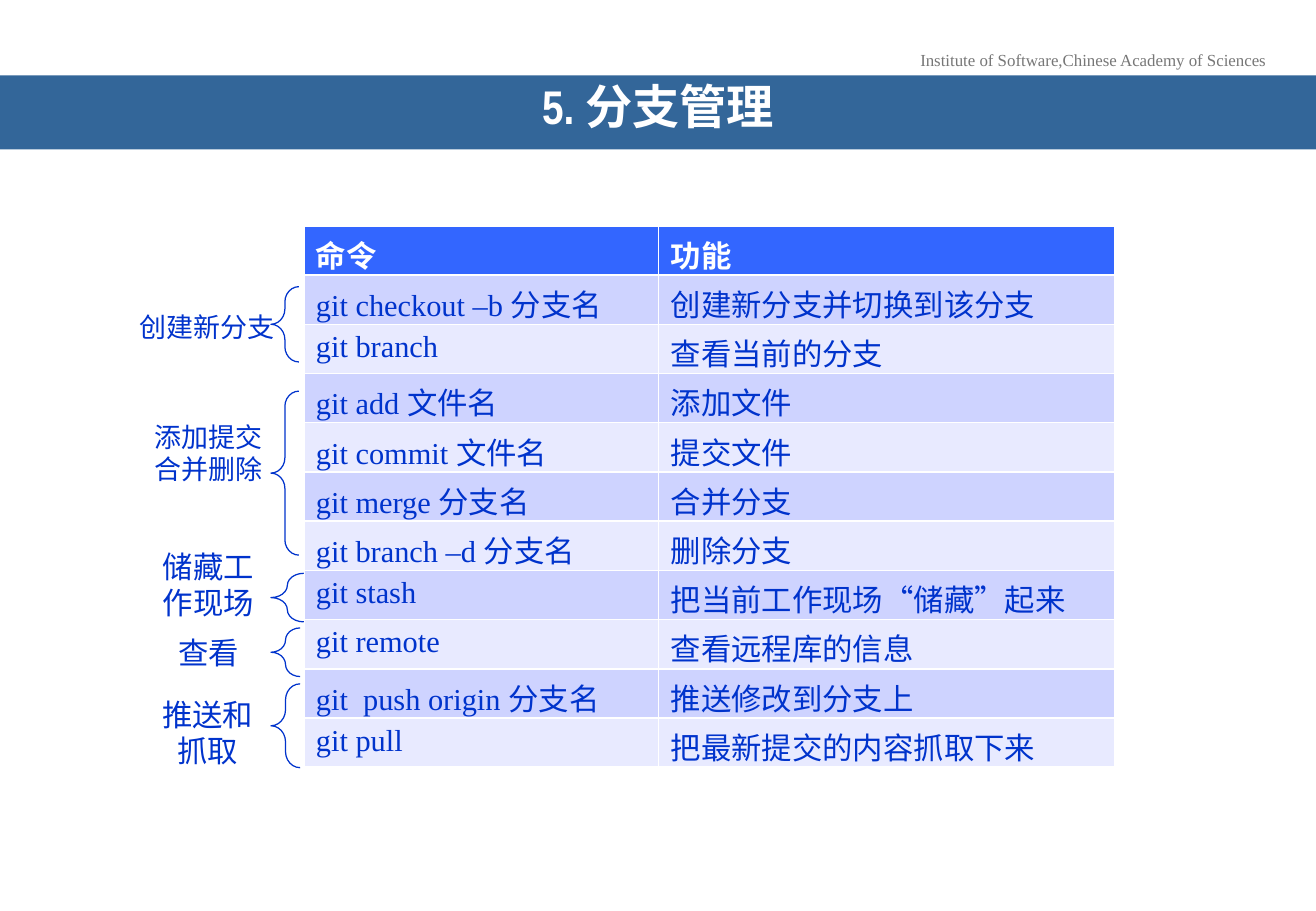
import pptx
import pptx.util
import pptx.dml.color
import pptx.enum.shapes
import pptx.enum.text
from dataclasses import dataclass

Inches = pptx.util.Inches
Pt = pptx.util.Pt
RGB = pptx.dml.color.RGBColor.from_string
ALIGN = pptx.enum.text.PP_ALIGN
ANCHOR = pptx.enum.text.MSO_ANCHOR


@dataclass(frozen=True)
class Theme:
    """Hold the colours, fonts and type sizes."""
    white: str = "FFFFFF"
    band: str = "336699"
    head: str = "3366FF"
    ink: str = "0033CC"
    grey: str = "777777"
    rows: tuple = ("E8EAFF", "CED3FF")
    serif: str = "Times New Roman"
    sans: str = "Arial"
    narrow: str = "Arial Narrow"
    title: int = 28
    text: int = 18
    label: int = 16
    note: int = 10


THEME = Theme()

TABLE = [
    ("命令", "功能"),
    ("git checkout –b 分支名", "创建新分支并切换到该分支"),
    ("git branch", "查看当前的分支"),
    ("git add 文件名", "添加文件"),
    ("git commit 文件名", "提交文件"),
    ("git merge 分支名", "合并分支"),
    ("git branch –d 分支名", "删除分支"),
    ("git stash", "把当前工作现场“储藏”起来"),
    ("git remote", "查看远程库的信息"),
    ("git  push origin 分支名", "推送修改到分支上"),
    ("git pull", "把最新提交的内容抓取下来"),
]

GROUPS = [
    ("创建新分支", THEME.label, (0.92, 2.51, 1.57, 0.37), (2.36, 0.23, 0.62)),
    ("添加提交\n合并删除", THEME.label, (1, 3.41, 1.43, 0.64), (3.22, 0.23, 1.35)),
    ("储藏工作现场", THEME.text, (1.24, 4.46, 0.95, 0.71), (4.72, 0.27, 0.4)),
    ("查看", THEME.text, (1.24, 5.17, 0.95, 0.4), (5.17, 0.24, 0.4)),
    ("推送和\n抓取", THEME.text, (1.08, 5.68, 1.26, 0.71), (5.63, 0.24, 0.69)),
]


def write(frame, text, size, face, color, bold=False, align=ALIGN.CENTER):
    """Fill a text frame with evenly styled paragraphs."""
    frame.text = text
    for para in frame.paragraphs:
        para.alignment = align
        font = para.font
        font.size, font.name, font.bold = Pt(size), face, bold
        font.color.rgb = RGB(color)


def add_text(slide, box, text, size, face, color, wrap=True):
    """Add a text box."""
    frame = slide.shapes.add_textbox(*map(Inches, box)).text_frame
    frame.word_wrap = wrap
    write(frame, text, size, face, color)


def add_title(slide, box, text):
    """Turn the title placeholder into the band."""
    title = slide.shapes.title
    title.left, title.top, title.width, title.height = map(Inches, box)
    title.fill.solid()
    title.fill.fore_color.rgb = RGB(THEME.band)
    frame = title.text_frame
    frame.vertical_anchor = ANCHOR.MIDDLE
    frame.auto_size = pptx.enum.text.MSO_AUTO_SIZE.NONE
    frame.margin_left = frame.margin_right = Inches(0.31)
    write(frame, text, THEME.title, THEME.narrow, THEME.white, True)
    frame.paragraphs[0].line_spacing = 0.7


def add_grid(slide, box, data, widths):
    """Add the command table with striped rows."""
    grid = slide.shapes.add_table(len(data), len(widths), *map(Inches, box)).table
    for col, width in zip(grid.columns, widths):
        col.width = Inches(width)
    for r, line in enumerate(data):
        head = r == 0
        for c, text in enumerate(line):
            cell = grid.cell(r, c)
            cell.fill.solid()
            cell.fill.fore_color.rgb = RGB(THEME.head if head else THEME.rows[r % 2])
            cell.margin_bottom = 0
            write(cell.text_frame, text, THEME.text, THEME.serif,
                  THEME.white if head else THEME.ink, head, ALIGN.LEFT)


def add_group(slide, text, size, box, span):
    """Add a label and the brace beside it."""
    top, width, height = span
    brace = slide.shapes.add_shape(
        pptx.enum.shapes.MSO_SHAPE.LEFT_BRACE,
        *map(Inches, (2.23, top, width, height)))
    brace.shadow.inherit = False
    brace.fill.background()
    brace.line.color.rgb = RGB(THEME.ink)
    brace.line.width = Pt(0.75)
    brace.adjustments[0] = 0.55
    add_text(slide, box, text, size, THEME.sans, THEME.ink)


def main():
    """Build and save the slide."""
    deck = pptx.Presentation()
    deck.slide_width, deck.slide_height = Inches(10.83), Inches(7.5)
    slide = deck.slides.add_slide(deck.slide_layouts[5])
    add_text(slide, (7.46, 0.36, 3.07, 0.27),
             "Institute of Software,Chinese Academy of Sciences",
             THEME.note, THEME.serif, THEME.grey, False)
    add_title(slide, (0, 0.62, 10.83, 0.61), "5. 分支管理")
    add_grid(slide, (2.5, 1.86, 6.67, 4.46), TABLE, (2.92, 3.75))
    for group in GROUPS:
        add_group(slide, *group)
    deck.save("out.pptx")


if __name__ == "__main__":
    main()
